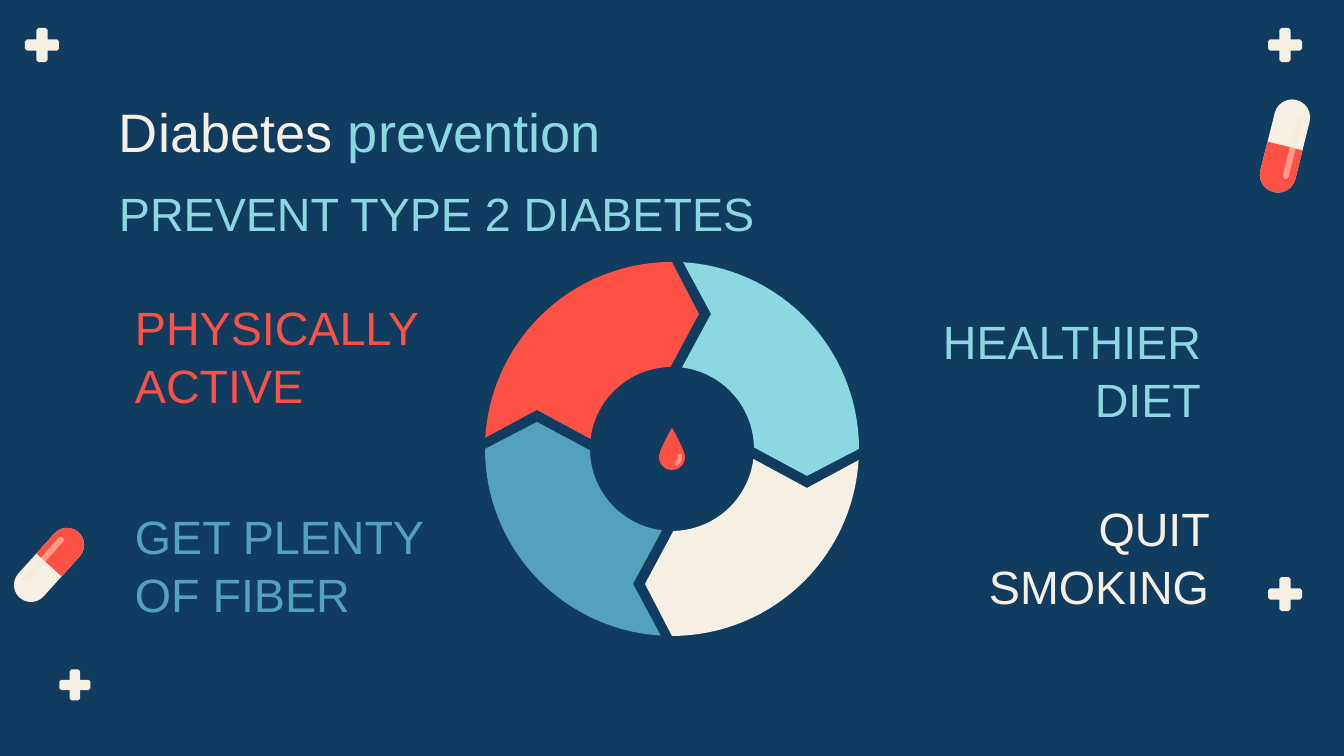
from math import cos, radians, sin

from lxml.etree import SubElement
from pptx import Presentation
from pptx.dml.color import RGBColor
from pptx.enum.shapes import MSO_SHAPE as Shape
from pptx.enum.text import MSO_ANCHOR as Anchor, PP_ALIGN as Align
from pptx.oxml.ns import qn
from pptx.util import Pt

PX = 914400 / 134.4
FONT = "Arial"
COLORS = {
    "navy": "103C60",
    "cream": "F6EFE4",
    "red": "FE5145",
    "aqua": "8CD8E1",
    "teal": "53A2B9",
    "gleam": "FAE9CD",
}


def emu(pixels):
    return round(pixels * PX)


def color(name):
    return RGBColor.from_string(COLORS[name])


def turn(x, y, degrees):
    angle = radians(degrees)
    return x * cos(angle) - y * sin(angle), x * sin(angle) + y * cos(angle)


def arc(radius, start, end, steps=40):
    return [turn(radius, 0, start + (end - start) * i / steps) for i in range(steps + 1)]


def curve(p0, p1, p2, p3, steps=12):
    """Points along a cubic curve."""
    points = []
    for i in range(steps + 1):
        t = i / steps
        weights = ((1 - t) ** 3, 3 * t * (1 - t) ** 2, 3 * t * t * (1 - t), t ** 3)
        points.append(tuple(sum(w * p[axis] for w, p in zip(weights, (p0, p1, p2, p3)))
                            for axis in (0, 1)))
    return points


class SlideBuilder:
    def __init__(self, presentation):
        self.slide = presentation.slides.add_slide(presentation.slide_layouts[6])
        self.slide.background.fill.solid()
        self.slide.background.fill.fore_color.rgb = color("navy")

    def paint(self, shape, fill, alpha=None):
        shape.shadow.inherit = False
        shape.line.fill.background()
        shape.fill.solid()
        shape.fill.fore_color.rgb = color(fill)
        if alpha:
            tint = shape._element.spPr.find(qn("a:solidFill"))[0]
            SubElement(tint, qn("a:alpha"), val=str(alpha * 1000))

    def outline(self, cx, cy, points, fill, alpha=None):
        """Closed outline with points given relative to a centre."""
        points = [(emu(cx + x), emu(cy + y)) for x, y in points]
        builder = self.slide.shapes.build_freeform(*points[0], scale=1.0)
        builder.add_line_segments(points[1:], close=True)
        self.paint(builder.convert_to_shape(), fill, alpha)

    def rounded(self, kind, cx, cy, width, height, angle, fill, alpha=None):
        shape = self.slide.shapes.add_shape(
            kind, emu(cx - width / 2), emu(cy - height / 2), emu(width), emu(height))
        shape.adjustments[0] = 0.5
        shape.rotation = angle
        self.paint(shape, fill, alpha)

    def plus(self, cx, cy, size):
        half, arm, corner = size / 2, size / 6, size / 17
        tip = [(-arm, -arm), (-arm, corner - half), (corner - arm, -half),
               (arm - corner, -half), (arm, corner - half)]
        points = [turn(x, y, 90 * k) for k in range(4) for x, y in tip]
        self.outline(cx, cy, points, "cream")

    def pill(self, cx, cy, width, length, angle):
        cap_x, cap_y = turn(0, -length / 4, angle)
        gleam_x, gleam_y = turn(-8, 0, angle)
        self.rounded(Shape.ROUNDED_RECTANGLE, cx, cy, width, length, angle, "cream")
        self.rounded(Shape.ROUND_2_SAME_RECTANGLE, cx + cap_x, cy + cap_y,
                     width, length / 2, angle, "red")
        self.rounded(Shape.ROUNDED_RECTANGLE, cx + gleam_x, cy + gleam_y,
                     6, length * 0.67, angle, "gleam", 49)

    def text(self, x, y, width, height, runs, size=25, align=Align.LEFT,
             anchor=Anchor.BOTTOM, spacing=1.04):
        box = self.slide.shapes.add_textbox(emu(x), emu(y), emu(width), emu(height))
        frame = box.text_frame
        frame.word_wrap = True
        frame.vertical_anchor = anchor
        frame.margin_left = frame.margin_right = emu(13)
        frame.margin_top = frame.margin_bottom = emu(13)
        paragraph = frame.paragraphs[0]
        paragraph.alignment = align
        paragraph.line_spacing = spacing
        paragraph.font.name = FONT
        paragraph.font.size = Pt(size)
        for words, name in runs:
            run = paragraph.add_run()
            run.text = words
            run.font.color.rgb = color(name)


def main():
    presentation = Presentation()
    presentation.slide_width, presentation.slide_height = emu(1344), emu(756)
    builder = SlideBuilder(presentation)

    # Plus signs and pills around the edges
    for cx, cy, size in [(75, 685, 31), (1285, 594, 34), (1285, 45, 34), (42, 45, 34)]:
        builder.plus(cx, cy, size)
    builder.pill(49, 565, 34, 88, 42)
    builder.pill(1285, 146, 36, 95, 194)

    # Titles
    builder.text(106, 79, 1133, 85, [("Diabetes ", "cream"), ("prevention", "aqua")],
                 size=29, anchor=Anchor.TOP, spacing=1.1)
    builder.text(106, 183, 1133, 71, [("PREVENT TYPE 2 DIABETES", "aqua")])

    # Ring of four arrows, each a quarter turn from the last
    center = (672, 449)
    arrow = ([(11, -187), (39, -135)] + arc(82, -83, -1)
             + [(135, 27)] + arc(187, 0, -86.6))
    for quarter, fill in enumerate(["aqua", "cream", "teal", "red"]):
        builder.outline(*center, [turn(x, y, 90 * quarter) for x, y in arrow], fill)

    # Arrow labels
    for x, y, words, fill, align in [
        (851, 314, "HEALTHIER DIET", "aqua", Align.RIGHT),
        (122, 509, "GET PLENTY OF FIBER", "teal", Align.LEFT),
        (122, 300, "PHYSICALLY ACTIVE", "red", Align.LEFT),
        (859, 501, "QUIT SMOKING", "cream", Align.RIGHT),
    ]:
        builder.text(x, y, 363, 126, [(words, fill)], align=align)

    # Blood drop in the middle
    side = curve((0, -29), (0, -29), (13, -7), (13, 0))
    mirrored = [(-x, y) for x, y in reversed(side)]
    builder.outline(672, 457, side + arc(13, 0, 180) + mirrored, "red")
    builder.outline(672, 457, arc(10, -20, 65) + arc(6, 65, -20), "gleam", 49)

    presentation.save("out.pptx")


if __name__ == "__main__":
    main()
